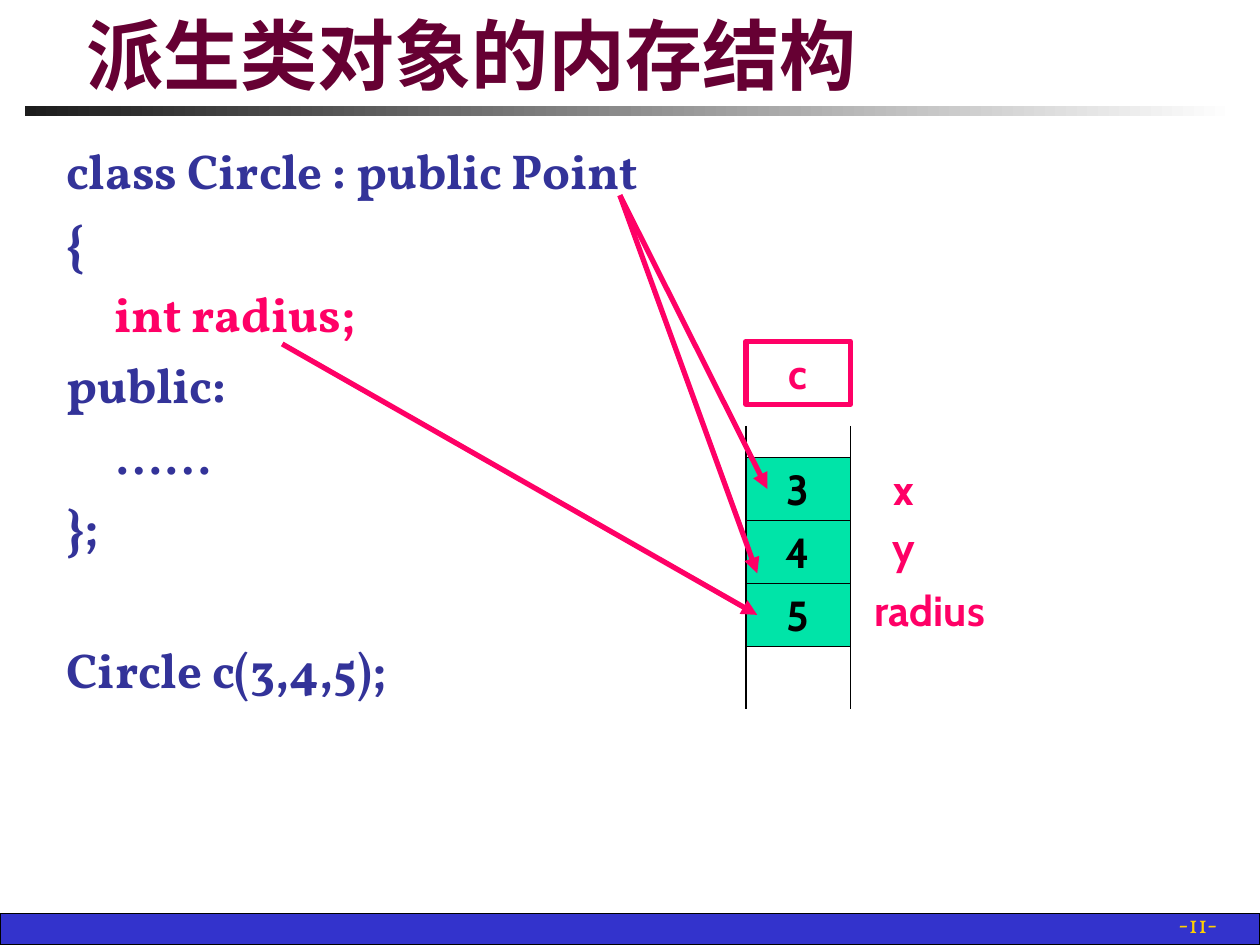
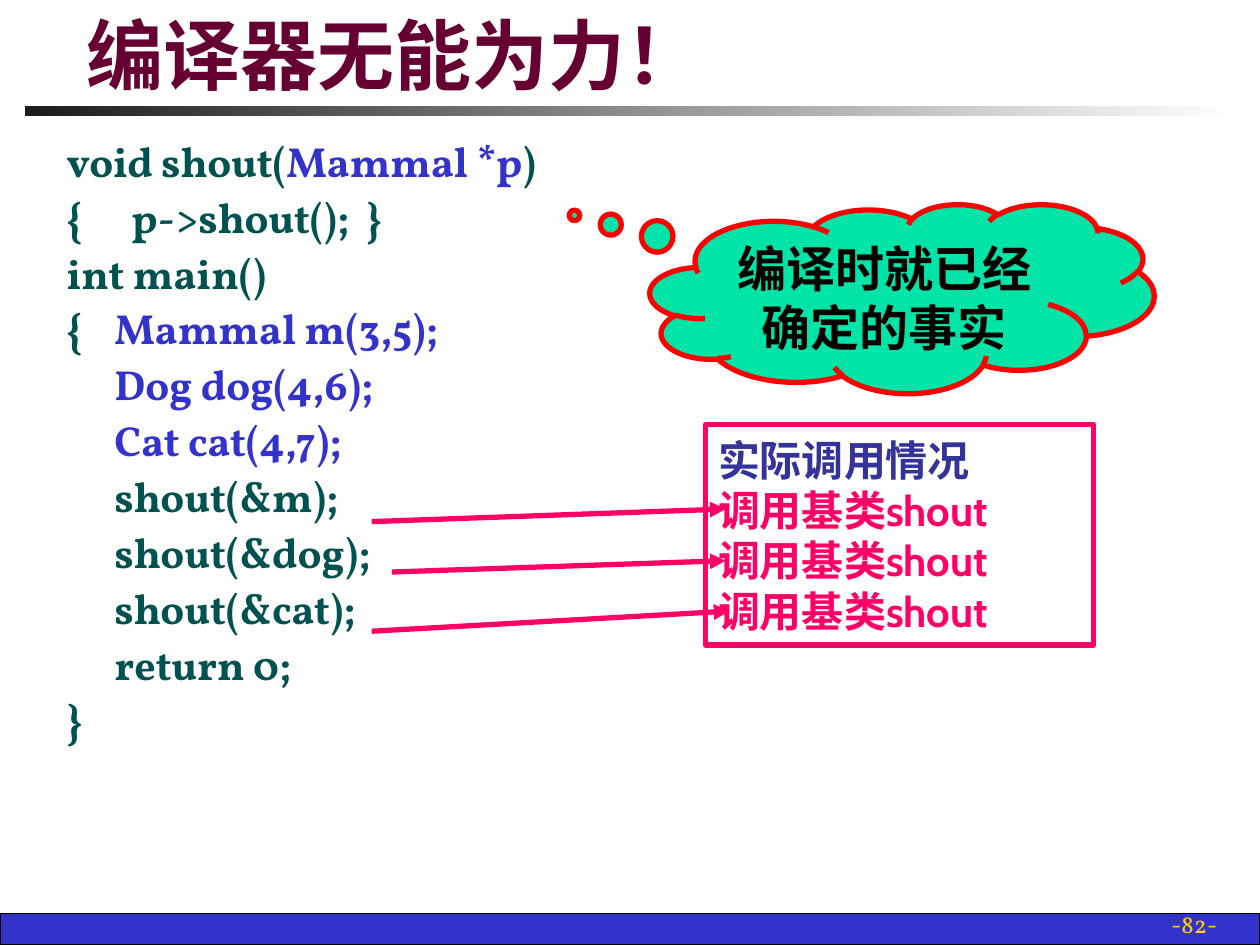
import lxml.etree
import pptx
import pptx.util
import pptx.dml.color
import pptx.enum.shapes
import pptx.enum.text
import pptx.oxml.ns

Inches, Pt = pptx.util.Inches, pptx.util.Pt
SHAPE = pptx.enum.shapes.MSO_SHAPE
ALIGN = pptx.enum.text.PP_ALIGN
ANCHOR = pptx.enum.text.MSO_ANCHOR

COLOURS = {
    "title": "660033", "footer": "3333CC", "number": "FFCF01", "rule": "1C1C1C",
    "white": "FFFFFF", "black": "000000", "navy": "333399", "pink": "FF0066",
    "mint": "00E4A8", "pine": "005250", "blue": "3333CC", "red": "FF0000",
}
CODE_FONT, LABEL_FONT, TITLE_FONT = "Vollkorn", "Cabin", "Comic Neue"
TAB_INDENT = 0.38


def rgb(name):
    return pptx.dml.color.RGBColor.from_string(COLOURS[name])


def set_font(font, name, size, colour, bold=True):
    font.name, font.size, font.bold = name, Pt(size), bold
    font.color.rgb = rgb(colour)


def add_shape(page, kind, box, fill=None, line=None, width=0.75):
    shape = page.shapes.add_shape(kind, *map(Inches, box))
    shape.shadow.inherit = False
    if fill:
        shape.fill.solid()
        shape.fill.fore_color.rgb = rgb(fill)
    else:
        shape.fill.background()
    if line:
        shape.line.color.rgb = rgb(line)
        shape.line.width = Pt(width)
    else:
        shape.line.fill.background()
    return shape


def add_text_box(page, box, wrap=True):
    shape = page.shapes.add_textbox(*map(Inches, box))
    shape.text_frame.word_wrap = wrap
    return shape


def write_lines(shape, lines, size=24, align=ALIGN.CENTER, anchor=ANCHOR.MIDDLE,
                font=LABEL_FONT, bold=True, wrap=False):
    """Fill a shape with (text, colour) lines."""
    frame = shape.text_frame
    frame.word_wrap, frame.vertical_anchor = wrap, anchor
    for index, (text, colour) in enumerate(lines):
        para = frame.add_paragraph() if index else frame.paragraphs[0]
        para.text, para.alignment = text, align
        set_font(para.font, font, size, colour, bold)


def add_line(page, start, end, colour="pink", width=3, arrow=True):
    line = page.shapes.add_connector(pptx.enum.shapes.MSO_CONNECTOR.STRAIGHT,
                                     *map(Inches, start + end))
    line.line.color.rgb = rgb(colour)
    line.line.width = Pt(width)
    qn = pptx.oxml.ns.qn
    properties = line._element.spPr
    if arrow:
        lxml.etree.SubElement(properties.find(qn("a:ln")), qn("a:tailEnd"), type="triangle")
    lxml.etree.SubElement(properties, qn("a:effectLst"))


def add_code(page, lines, size, line_spacing=1.0, gaps=None):
    """Write code lines of (text, colour[, font]) spans; gaps maps a line to its space before."""
    frame = add_text_box(page, (0.43, 1.07, 9.14, 5.67)).text_frame
    for index, spans in enumerate(lines):
        para = frame.add_paragraph() if index else frame.paragraphs[0]
        properties = para._p.get_or_add_pPr()
        properties.set("marL", str(Inches(TAB_INDENT)))
        properties.set("indent", str(-Inches(TAB_INDENT)))
        para.line_spacing = line_spacing
        if index:
            para.space_before = Pt((gaps or {}).get(index, size / 4))
        for text, colour, *font in spans:
            span = para.add_run()
            span.text = text
            set_font(span.font, font[0] if font else CODE_FONT, size, colour)


def add_page(deck, title, number):
    page = deck.slides.add_slide(deck.slide_layouts[5])
    add_shape(page, SHAPE.RECTANGLE, (0, 7.25, 10, 0.25), "footer", "black")
    rule = add_shape(page, SHAPE.RECTANGLE, (0.2, 0.84, 9.61, 0.08))
    rule.fill.gradient()
    rule.fill.gradient_angle = 0
    for stop, colour in zip(rule.fill.gradient_stops, ("rule", "white")):
        stop.color.rgb = rgb(colour)
    write_lines(add_text_box(page, (7.68, 7.17, 2.08, 0.33)), [(f"-{number}-", "number")],
                14, ALIGN.RIGHT, ANCHOR.BOTTOM, CODE_FONT, bold=False, wrap=True)

    heading = page.shapes.title
    heading.left, heading.top = Inches(0.59), Inches(0.13)
    heading.width, heading.height = Inches(8.72), Inches(0.71)
    heading.text_frame.auto_size = pptx.enum.text.MSO_AUTO_SIZE.NONE
    write_lines(heading, [(title, "title")], 44, ALIGN.LEFT, ANCHOR.BOTTOM,
                TITLE_FONT, wrap=True)
    return page


def add_memory_diagram(page):
    left, top, width, height = 5.92, 3.63, 0.83, 0.5
    name = add_shape(page, SHAPE.RECTANGLE, (left, 2.71, width, height), None, "pink", 3)
    write_lines(name, [("c", "pink")])
    for side in (left, left + width):
        add_line(page, (side, 3.38), (side, 5.63), "black", 0.75, arrow=False)
    members = [("3", "x", 0.67, 0.5), ("4", "y", 0.67, 0.42), ("5", "radius", 1.08, 0.42)]
    for row, (value, member, label_width, label_height) in enumerate(members):
        y = top + row * height
        cell = add_shape(page, SHAPE.RECTANGLE, (left, y, width, height), "mint", "black")
        write_lines(cell, [(value, "black")])
        label = add_text_box(page, (6.84, y, label_width, label_height), wrap=False)
        write_lines(label, [(member, "pink")])


def build_memory_page(deck):
    page = add_page(deck, "派生类对象的内存结构", 11)
    add_code(page, [
        [("class Circle : public Point", "navy")],
        [("{", "navy")],
        [("\tint radius;", "pink")],
        [("public:", "navy")],
        [("\t", "navy"), ("……", "navy", "Times New Roman")],
        [("};", "navy")],
        [("Circle c(3,4,5);", "navy")],
    ], 28, gaps={6: 48})
    add_memory_diagram(page)
    base_class = (4.92, 1.55)
    for start, end in (((2.24, 2.73), (6.01, 4.88)),
                       (base_class, (6.01, 4.55)),
                       (base_class, (6.09, 3.88))):
        add_line(page, start, end)


def build_compiler_page(deck):
    page = add_page(deck, "编译器无能为力！", 82)
    add_code(page, [
        [("void shout(", "pine"), ("Mammal *p", "blue"), (")", "pine")],
        [("{\t  p->shout();  }", "pine")],
        [("int main()", "pine")],
        [("{\t", "pine"), ("Mammal m(3,5);", "blue")],
        [("\tDog dog(4,6);", "blue")],
        [("\tCat cat(4,7);", "blue")],
        [("\tshout(&m);", "pine")],
        [("\tshout(&dog);", "pine")],
        [("\tshout(&cat);", "pine")],
        [("\treturn 0;", "pine")],
        [("}", "pine")],
    ], 24, line_spacing=0.9)
    calls = add_shape(page, SHAPE.RECTANGLE, (5.6, 3.37, 3.08, 1.75), None, "pink", 3)
    write_lines(calls, [("实际调用情况", "navy")] + [("调用基类shout", "pink")] * 3,
                align=ALIGN.LEFT, wrap=True)
    for start, end in (((2.95, 4.14), (5.76, 4.04)),
                       ((3.11, 4.54), (5.76, 4.45)),
                       ((2.95, 5.01), (5.79, 4.85))):
        add_line(page, start, end)
    cloud = add_shape(page, SHAPE.CLOUD_CALLOUT, (5.16, 1.62, 4, 1.5), "mint", "red", 3)
    cloud.adjustments[0], cloud.adjustments[1] = -0.65, -0.44
    write_lines(cloud, [("编译时就已经确定的事实", "black")], 28, anchor=ANCHOR.TOP, wrap=True)


def main():
    deck = pptx.Presentation()
    deck.slide_width, deck.slide_height = Inches(10), Inches(7.5)
    build_memory_page(deck)
    build_compiler_page(deck)
    deck.save("out.pptx")


if __name__ == "__main__":
    main()
